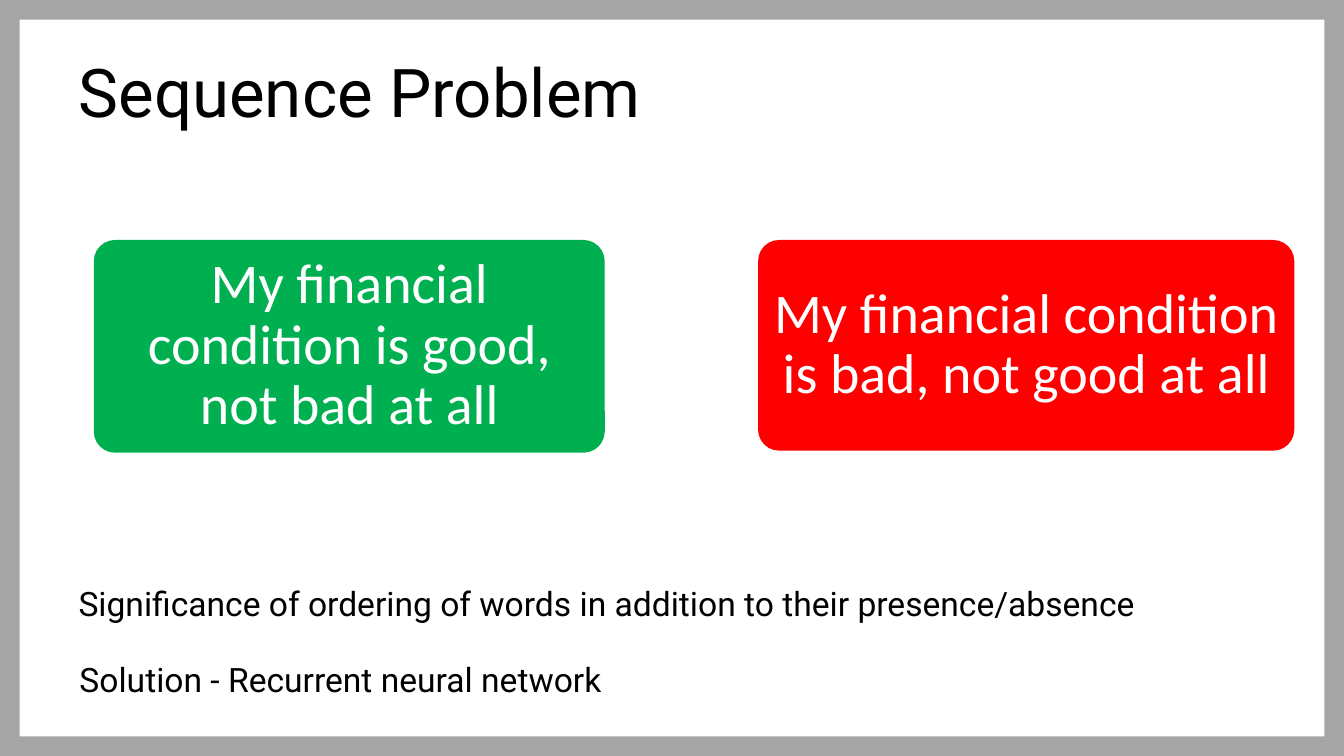
from pptx import Presentation
from pptx.dml.color import RGBColor
from pptx.enum.shapes import MSO_SHAPE
from pptx.enum.text import MSO_ANCHOR, MSO_AUTO_SIZE, PP_ALIGN
from pptx.util import Pt

FRAME, ROUND = MSO_SHAPE.FRAME, MSO_SHAPE.ROUNDED_RECTANGLE
MIDDLE, BOTTOM = MSO_ANCHOR.MIDDLE, MSO_ANCHOR.BOTTOM
LEFT, CENTER = PP_ALIGN.LEFT, PP_ALIGN.CENTER
BLACK = RGBColor(0, 0, 0)
WHITE = RGBColor(255, 255, 255)
GREY = RGBColor(0xA5, 0xA5, 0xA5)
GREEN = RGBColor(0, 0xB0, 0x50)
RED = RGBColor(255, 0, 0)

WIDE, HIGH = 960, 540
TITLE = "Sequence Problem"
# text, fill, left, width, height
CARDS = [
    ("My financial condition is good, not bad at all", GREEN, 67, 365, 152),
    ("My financial condition is bad, not good at all", RED, 541.5, 383, 150.5),
]
CARD_TOP = 171.4
# text, left, top
NOTES = [
    ("Significance of ordering of words in addition to their presence/absence",
     49, 412.5),
    ("Solution - Recurrent neural network", 49.7, 467.3),
]

TITLE_FONT = {"name": "Roboto", "size": Pt(48), "bold": False}
NOTE_FONT = {"name": "Roboto", "size": Pt(24)}
CARD_FONT = {"name": "Calibri", "size": Pt(40)}
CARD_FRAME = {
    "word_wrap": True, "vertical_anchor": MIDDLE,
    "margin_left": Pt(6), "margin_right": Pt(6),
    "margin_top": Pt(4.5), "margin_bottom": Pt(4.5),
}
TITLE_FRAME = {"word_wrap": True, "vertical_anchor": BOTTOM,
               "auto_size": MSO_AUTO_SIZE.NONE}
NOTE_FRAME = {"word_wrap": True, "auto_size": MSO_AUTO_SIZE.SHAPE_TO_FIT_TEXT}


def apply(item, values):
    for name, value in values.items():
        setattr(item, name, value)


def write(shape, text, frame, font, color, align=LEFT, space=1.0):
    body = shape.text_frame
    body.text = text
    apply(body, frame)
    para = body.paragraphs[0]
    apply(para, {"alignment": align, "line_spacing": space,
                 "space_before": Pt(0)})
    apply(para.font, font)
    para.font.color.rgb = color


def add_block(slide, kind, box, fill, adjust):
    block = slide.shapes.add_shape(kind, *map(Pt, box))
    block.shadow.inherit = False
    block.adjustments[0] = adjust
    block.fill.solid()
    block.fill.fore_color.rgb = fill
    block.line.fill.background()
    return block


def main():
    deck = Presentation()
    deck.slide_width, deck.slide_height = Pt(WIDE), Pt(HIGH)
    slide = deck.slides.add_slide(deck.slide_layouts[5])
    slide.background.fill.solid()
    slide.background.fill.fore_color.rgb = WHITE

    add_block(slide, FRAME, (0, 0, WIDE, HIGH), GREY, 0.026)

    title = slide.shapes.title
    apply(title, {"left": Pt(49), "top": Pt(29.5),
                  "width": Pt(721), "height": Pt(68.4)})
    write(title, TITLE, TITLE_FRAME, TITLE_FONT, BLACK, space=0.9)

    for text, fill, left, width, height in CARDS:
        card = add_block(slide, ROUND, (left, CARD_TOP, width, height),
                         fill, 0.1)
        write(card, text, CARD_FRAME, CARD_FONT, WHITE, CENTER, 0.9)

    for text, left, top in NOTES:
        note = slide.shapes.add_textbox(Pt(left), Pt(top), Pt(860), Pt(36))
        write(note, text, NOTE_FRAME, NOTE_FONT, BLACK)

    deck.save("out.pptx")


if __name__ == "__main__":
    main()
